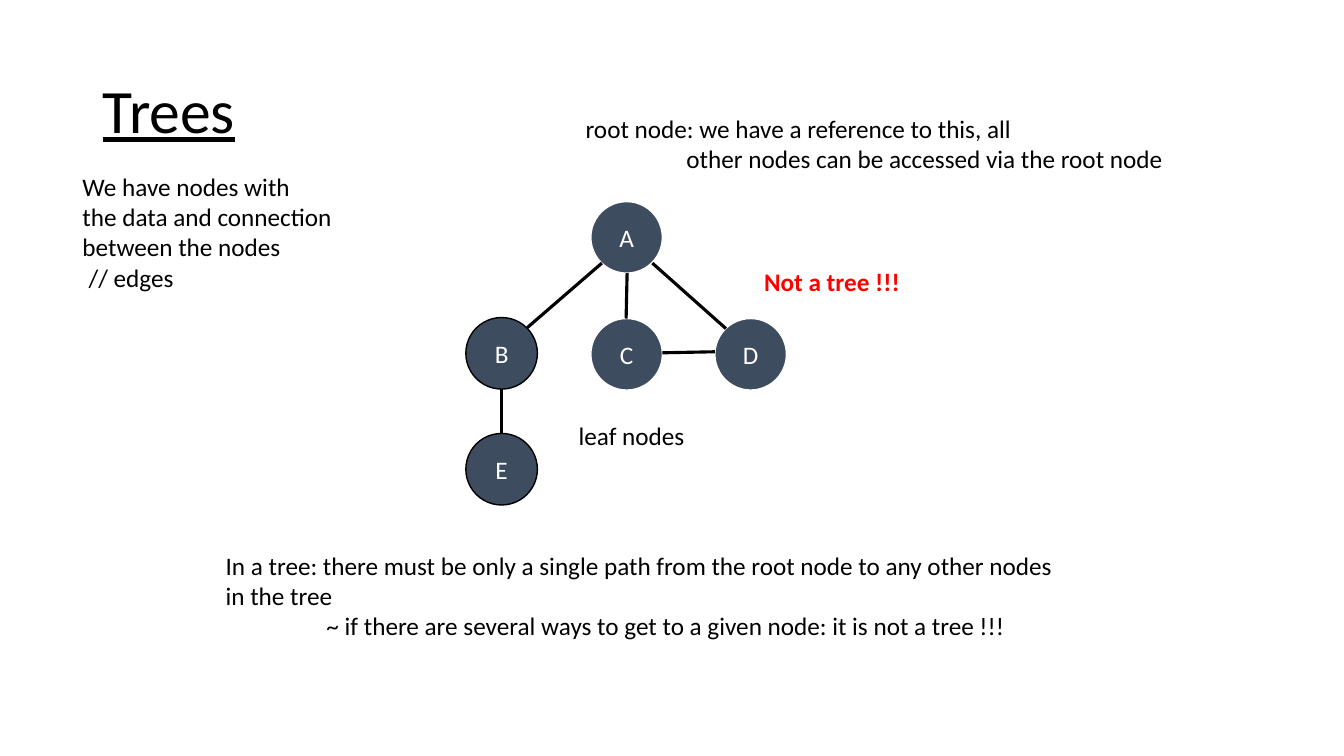
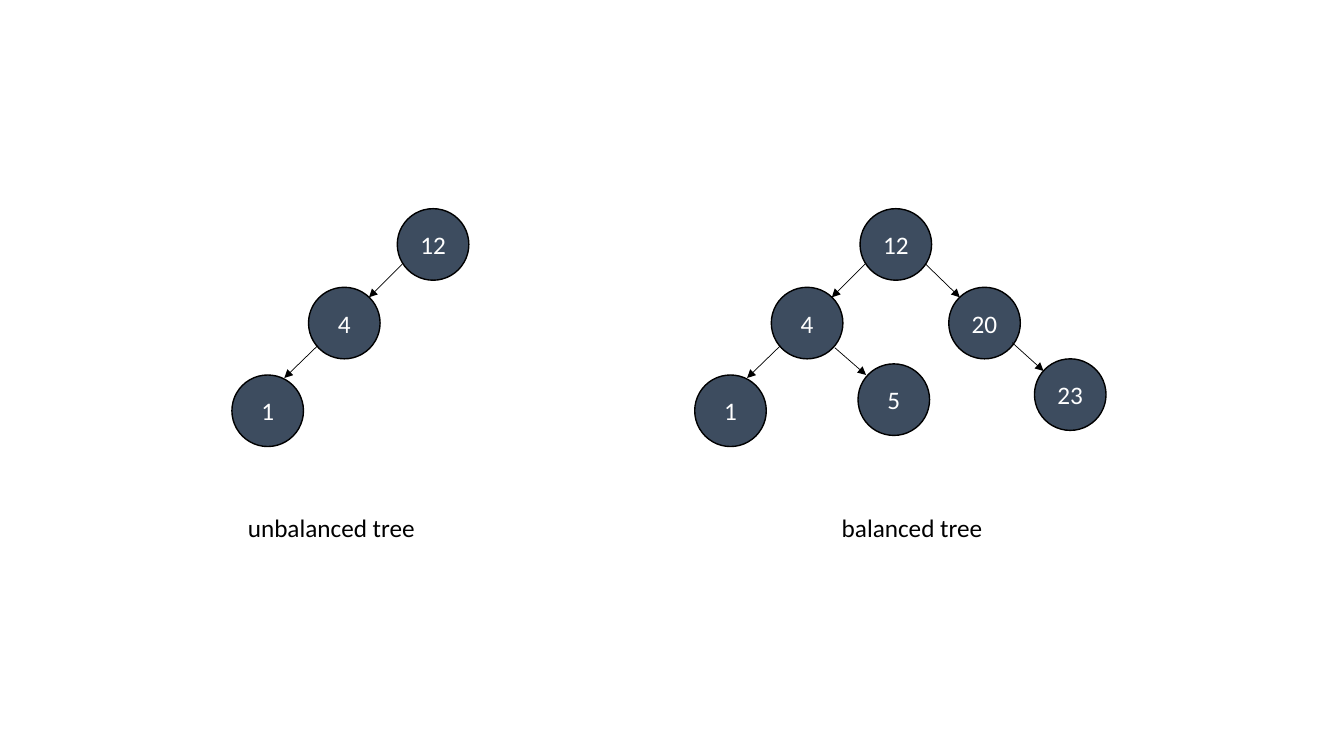
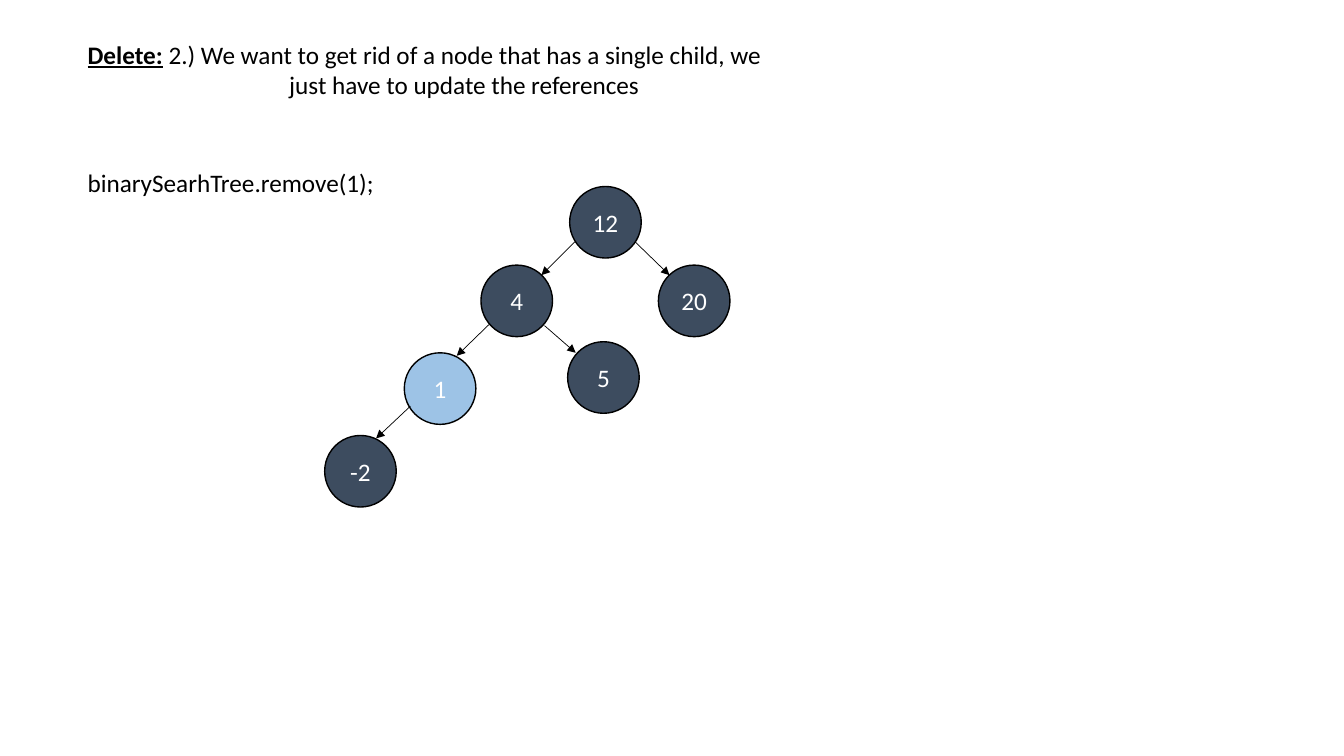
from lxml import etree
from pptx import Presentation
from pptx.dml.color import RGBColor
from pptx.enum.shapes import MSO_CONNECTOR, MSO_SHAPE
from pptx.enum.text import MSO_ANCHOR, PP_ALIGN
from pptx.oxml.ns import qn
from pptx.util import Inches, Pt

FONT = "Calibri"
BLACK, WHITE, RED = "000000", "FFFFFF", "FF0000"
SLATE, LIGHT_BLUE = "3D4C5F", "9DC3E6"
NODE_SIZE = 0.71
TITLE_ONLY, BLANK = 5, 6

# Graph of the first slide: name, left, top, outline
GRAPH_NODES = [
    ("A", 5.86, 2.0, WHITE),
    ("B", 4.62, 3.15, BLACK),
    ("E", 4.62, 4.3, BLACK),
    ("D", 7.09, 3.16, WHITE),
    ("C", 5.86, 3.16, WHITE),
]
GRAPH_EDGES = [
    ((5.97, 2.61), (5.23, 3.25)),  # A to B
    ((6.22, 2.71), (6.21, 3.16)),  # A to C
    ((6.47, 2.61), (7.2, 3.26)),   # A to D
    ((4.97, 3.86), (4.97, 4.3)),   # B to E
    ((7.09, 3.49), (6.57, 3.5)),   # D to C
]

# Search trees: value -> node corner, and the arrow from its parent,
# all measured from the corner of the root
TREE = {
    "12": ((0, 0), None),
    "4": ((-0.88, 0.78), ((0.05, 0.55), (-0.28, 0.88))),
    "1": ((-1.64, 1.65), ((-0.79, 1.36), (-1.12, 1.68))),
    "5": ((-0.02, 1.54), ((-0.25, 1.38), (0.06, 1.65))),
    "20": ((0.88, 0.78), ((0.65, 0.55), (0.99, 0.88))),
    "23": ((1.73, 1.49), ((1.51, 1.33), (1.82, 1.61))),
    "-2": ((-2.43, 2.47), ((-1.58, 2.18), (-1.92, 2.5))),
}

# Texts: box (left, top, width, height), then (indent, line) pairs
TREES_TEXTS = [
    ((0.72, 1.65, 3.36, 1.31), [
        (0, "We have nodes with"),
        (0, "the data and connection"),
        (0, "between the nodes"),
        (0.06, "// edges"),
    ]),
    ((5.71, 1.07, 7.11, 0.71), [
        (0, "root node: we have a reference to this, all"),
        (1, "other nodes can be accessed via the root node"),
    ]),
    ((5.64, 4.12, 1.49, 0.4), [(0, "leaf nodes")]),
    ((2.14, 5.41, 10.07, 1.01), [
        (0, "In a tree: there must be only a single path from the root node "
            "to any other nodes"),
        (0, "in the tree"),
        (1, "~ if there are several ways to get to a given node: "
            "it is not a tree !!!"),
    ]),
    ((7.48, 2.59, 1.73, 0.4),
     [(0, [("Not a tree !!!", {"bold": True, "color": RED})])]),
]
BALANCE_TEXTS = [
    ((2.36, 5.03, 2.4, 0.4), [(0, "unbalanced tree")]),
    ((8.25, 5.03, 1.98, 0.4), [(0, "balanced tree")]),
]
DELETE_TEXTS = [
    ((0.77, 0.34, 8.39, 1.01), [
        (0, [("Delete:", {"bold": True, "underline": True}),
             (" 2.) We want to get rid of a node that has a single child, we",
              {})]),
        (2, "just have to update the references"),
    ]),
    ((0.77, 1.61, 3.58, 0.4), [(0, "binarySearhTree.remove(1);")]),
]


def rgb(color):
    return RGBColor.from_string(color)


def add_span(para, text, size=18, color=BLACK, bold=False, underline=False):
    span = para.add_run()
    span.text = text
    font = span.font
    font.name, font.size = FONT, Pt(size)
    font.bold, font.underline = bold, underline
    font.color.rgb = rgb(color)


def add_texts(page, texts):
    for place, lines in texts:
        box = page.shapes.add_textbox(*map(Inches, place))
        frame = box.text_frame
        frame.word_wrap = True
        for number, (indent, line) in enumerate(lines):
            para = frame.add_paragraph() if number else frame.paragraphs[0]
            if indent:
                para._p.get_or_add_pPr().set("marL", str(Inches(indent)))
            for text, style in [(line, {})] if isinstance(line, str) else line:
                add_span(para, text, **style)


def add_node(page, name, left, top, outline=BLACK, fill=SLATE):
    node = page.shapes.add_shape(
        MSO_SHAPE.OVAL, *map(Inches, (left, top, NODE_SIZE, NODE_SIZE)))
    node.shadow.inherit = False
    node.fill.solid()
    node.fill.fore_color.rgb = rgb(fill)
    node.line.color.rgb = rgb(outline)
    node.line.width = Pt(1)
    frame = node.text_frame
    frame.margin_left = frame.margin_right = 0
    frame.vertical_anchor = MSO_ANCHOR.MIDDLE
    para = frame.paragraphs[0]
    para.alignment = PP_ALIGN.CENTER
    add_span(para, name, color=WHITE)


def add_edge(page, start, end, width, arrow=False):
    edge = page.shapes.add_connector(
        MSO_CONNECTOR.STRAIGHT, *map(Inches, (*start, *end)))
    edge.line.color.rgb = rgb(BLACK)
    edge.line.width = Pt(width)
    if arrow:
        etree.SubElement(edge.line._get_or_add_ln(), qn("a:tailEnd"),
                         type="triangle")
    etree.SubElement(edge._element.spPr, qn("a:effectLst"))


def add_tree(page, root, values, marked=None):
    """Draw the named nodes of TREE, with the root's corner at root."""
    def shift(point):
        return root[0] + point[0], root[1] + point[1]

    for value in values:
        corner, arrow = TREE[value]
        add_node(page, value, *shift(corner),
                 fill=LIGHT_BLUE if value == marked else SLATE)
        if arrow:
            add_edge(page, *map(shift, arrow), width=0.5, arrow=True)


def add_title(page, text):
    title = page.shapes.title
    title.left, title.top, title.width, title.height = map(
        Inches, (0.92, 0.4, 11.5, 1.45))
    title.text_frame.vertical_anchor = MSO_ANCHOR.MIDDLE
    para = title.text_frame.paragraphs[0]
    para.alignment = PP_ALIGN.LEFT
    para.line_spacing = 0.9
    add_span(para, text, size=44, underline=True)


def main():
    deck = Presentation()
    deck.slide_width, deck.slide_height = Inches(13.33), Inches(7.5)

    page = deck.slides.add_slide(deck.slide_layouts[TITLE_ONLY])
    add_title(page, "Trees")
    for node in GRAPH_NODES:
        add_node(page, *node)
    for start, end in GRAPH_EDGES:
        add_edge(page, start, end, width=2.25)
    add_texts(page, TREES_TEXTS)

    page = deck.slides.add_slide(deck.slide_layouts[BLANK])
    add_tree(page, (3.94, 2.07), ["12", "4", "1"])
    add_tree(page, (8.53, 2.07), ["12", "4", "1", "5", "20", "23"])
    add_texts(page, BALANCE_TEXTS)

    page = deck.slides.add_slide(deck.slide_layouts[BLANK])
    add_tree(page, (5.65, 1.85), ["12", "4", "1", "5", "20", "-2"], marked="1")
    add_texts(page, DELETE_TEXTS)

    deck.save("out.pptx")


if __name__ == "__main__":
    main()
